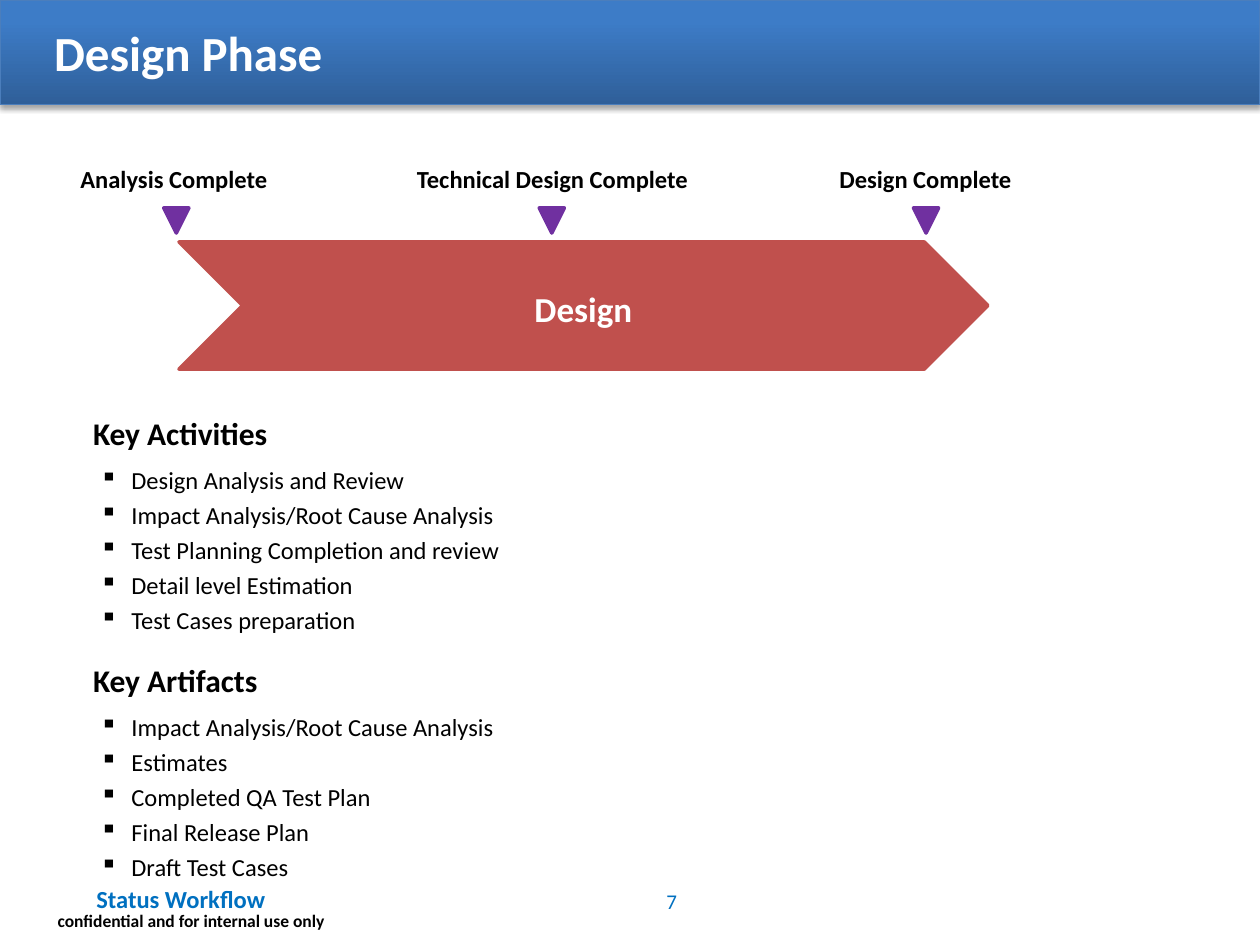
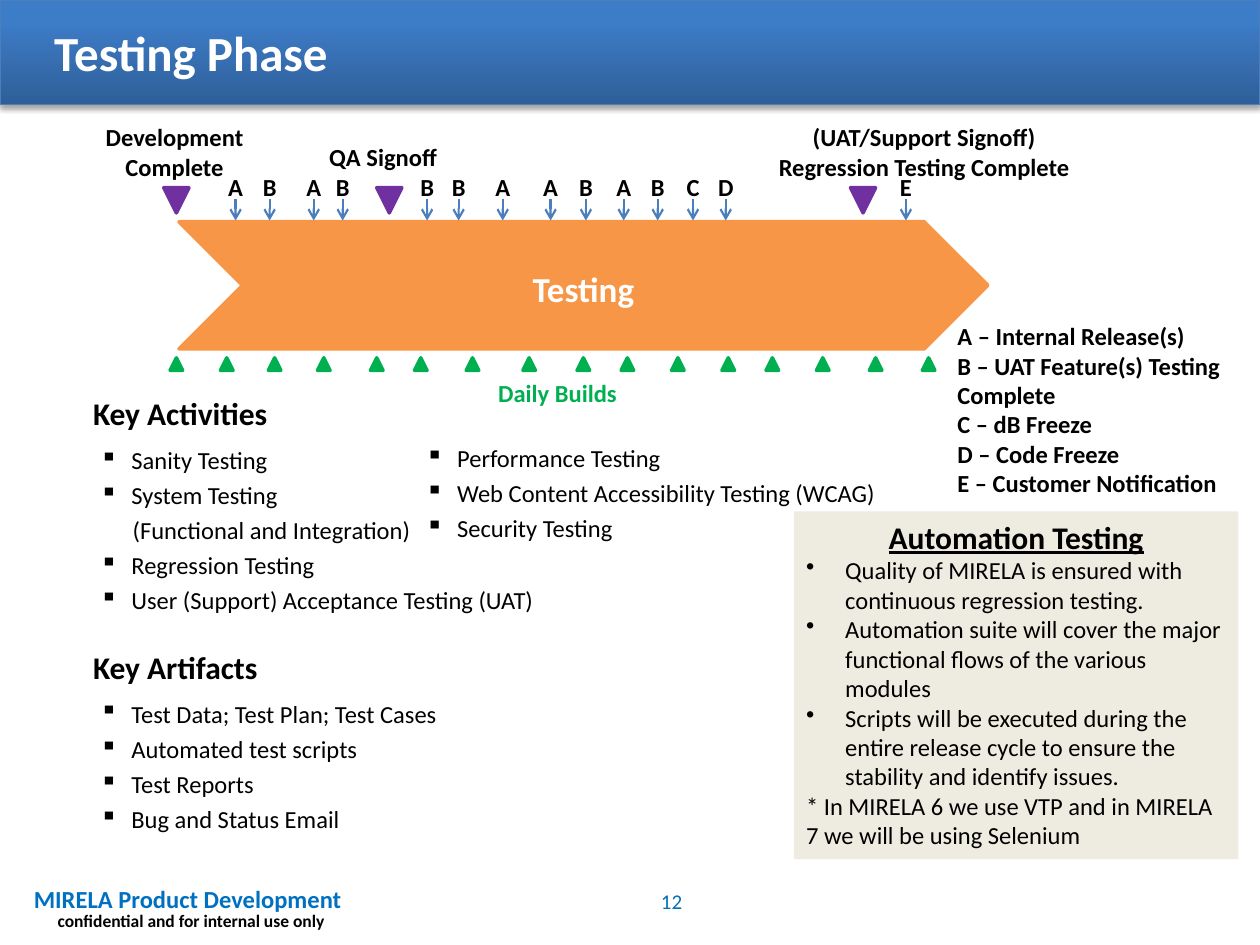
from lxml.etree import SubElement
from pptx import Presentation
from pptx.dml.color import RGBColor
from pptx.enum.shapes import MSO_CONNECTOR as Line, MSO_SHAPE as Shape
from pptx.enum.text import MSO_ANCHOR as Anchor, MSO_AUTO_SIZE as AutoSize, PP_ALIGN as Align
from pptx.oxml import parse_xml
from pptx.oxml.ns import nsdecls, qn
from pptx.util import Inches, Pt

BLACK = RGBColor(0x00, 0x00, 0x00)
WHITE = RGBColor(0xFF, 0xFF, 0xFF)
BAND_DARK = RGBColor(0x2F, 0x5F, 0x99)
BAND_LIGHT = RGBColor(0x3D, 0x7C, 0xC7)
STEEL = RGBColor(0x4B, 0x7E, 0xBC)
FOOTER_BLUE = RGBColor(0x00, 0x70, 0xC0)
PURPLE = RGBColor(0x70, 0x30, 0xA0)
GREEN = RGBColor(0x00, 0xB0, 0x50)
RED = RGBColor(0xC0, 0x50, 0x4D)
ORANGE = RGBColor(0xF7, 0x96, 0x46)
SAND = RGBColor(0xEE, 0xEC, 0xE1)
FONT = "Calibri"

deck = Presentation()
deck.slide_width, deck.slide_height = Inches(10), Inches(7.5)
COLUMN = deck.slide_width / 100
ROW = deck.slide_height / 75


def cells(left, top, width, height):
    return [round(n * size) for n, size in zip((left, top, width, height), (COLUMN, ROW) * 2)]


def write(frame, lines, size=14, color=BLACK, bold=False, align=Align.LEFT,
          bullet=None, indent=0.25, leading=None, underline=False):
    frame.word_wrap = True
    for line in lines:
        para = frame.paragraphs[0]
        if para.runs:
            para = frame.add_paragraph()
        para.alignment = align
        if leading:
            para.line_spacing = Pt(leading)
        if bullet:
            props = para._p.get_or_add_pPr()
            props.set("marL", str(Inches(indent)))
            props.set("indent", str(-Inches(indent)))
            SubElement(props, qn("a:buChar")).set("char", bullet)
        span = para.add_run()
        span.text = line
        font = span.font
        font.name, font.size, font.bold, font.underline = FONT, Pt(size), bold, underline
        font.color.rgb = color


phases = [
    {
        "title": "Design Phase", "number": "7", "name": "Design", "color": RED,
        "footer": ("Status Workflow", 25.3, Align.CENTER),
        "arrow_top": 19.2, "marker_top": 16.5,
        "milestones": [
            (13, "Analysis Complete", 2.7, 12.5, 22.2),
            (42.8, "Technical Design Complete", 30.1, 12.5, 27.5),
            (72.5, "Design Complete", 61.8, 12.5, 23.3),
        ],
        "sections": [
            ("Key Activities", 32.4, [
                "Design Analysis and Review",
                "Impact Analysis/Root Cause Analysis",
                "Test Planning Completion and review",
                "Detail level Estimation",
                "Test Cases preparation",
            ]),
            ("Key Artifacts", 52, [
                "Impact Analysis/Root Cause Analysis",
                "Estimates",
                "Completed QA Test Plan",
                "Final Release Plan",
                "Draft Test Cases",
            ]),
        ],
    },
    {
        "title": "Testing Phase", "number": "12", "name": "Testing", "color": ORANGE,
        "footer": ("MIRELA Product Development", 31.7, Align.LEFT),
        "arrow_top": 17.6, "marker_top": 14.9,
        "milestones": [
            (13, "Development Complete", 6.9, 9.2, 13.9),
            (29.9, "QA Signoff", 25, 10.8, 10.8),
            (67.5, "(UAT/Support Signoff) Regression Testing Complete", 60, 9.2, 26.7),
        ],
        "sections": [
            ("Key Activities", 30.8, [
                "Sanity Testing",
                "System Testing",
                "(Functional and Integration)",
                "Regression Testing",
                "User (Support) Acceptance Testing (UAT)",
            ]),
            ("Key Artifacts", 50.9, [
                "Test Data; Test Plan; Test Cases",
                "Automated test scripts",
                "Test Reports",
                "Bug and Status Email",
            ]),
        ],
    },
]

for phase in phases:
    page = deck.slides.add_slide(deck.slide_layouts[5])
    shapes = page.shapes

    band = shapes.add_shape(Shape.RECTANGLE, *cells(0, 0, 100, 8.3))
    band.fill.gradient()
    band.fill.gradient_angle = 90
    for stop, color, position in zip(band.fill.gradient_stops, (BAND_DARK, BAND_LIGHT), (0, 0.8)):
        stop.color.rgb, stop.position = color, position
    band.line.color.rgb, band.line.width = STEEL, Pt(0.75)
    band._element.spPr.append(parse_xml(
        f'<a:effectLst {nsdecls("a")}><a:outerShdw blurRad="39370" dist="22860" dir="5400000" '
        'rotWithShape="0"><a:srgbClr val="000000"><a:alpha val="35000"/></a:srgbClr>'
        '</a:outerShdw></a:effectLst>'))
    title = shapes.title
    title._element.addprevious(band._element)
    title.left, title.top, title.width, title.height = cells(3.3, 0, 91.7, 8.3)
    title.text_frame.auto_size = AutoSize.NONE
    title.text_frame.vertical_anchor = Anchor.MIDDLE
    write(title.text_frame, [phase["title"]], 28, WHITE, True)

    label, width, align = phase["footer"]
    footer = shapes.add_textbox(*cells(1.7, 69.3, width, 4)).text_frame
    footer.vertical_anchor = Anchor.MIDDLE
    write(footer, [label], 14, FOOTER_BLUE, True, align)
    number = shapes.add_textbox(*cells(50.4, 69.5, 5.8, 4)).text_frame
    number.vertical_anchor = Anchor.MIDDLE
    write(number, [phase["number"]], 12, FOOTER_BLUE, align=Align.CENTER)
    notice = shapes.add_textbox(*cells(2.4, 71.7, 25.5, 2.7)).text_frame
    write(notice, ["confidential and for internal use only"], 10, bold=True, align=Align.CENTER)

    chevron = shapes.add_shape(Shape.CHEVRON, *cells(14.2, phase["arrow_top"], 64.2, 10.1))
    chevron.shadow.inherit = False
    chevron.fill.solid()
    chevron.fill.fore_color.rgb = chevron.line.color.rgb = phase["color"]
    chevron.line.width = Pt(2)
    chevron.text_frame.margin_top = Inches(0.1)
    chevron.text_frame.vertical_anchor = Anchor.MIDDLE
    write(chevron.text_frame, [phase["name"]], 20, WHITE, True, Align.CENTER)

    for marker_left, label, left, top, width in phase["milestones"]:
        marker = shapes.add_shape(Shape.FLOWCHART_MERGE,
                                  *cells(marker_left, phase["marker_top"], 2, 2))
        marker.shadow.inherit = False
        marker.fill.solid()
        marker.fill.fore_color.rgb = marker.line.color.rgb = PURPLE
        marker.line.width = Pt(2)
        box = shapes.add_textbox(*cells(left, top, width, 3.4))
        write(box.text_frame, [label], bold=True, align=Align.CENTER)

    for heading, top, items in phase["sections"]:
        box = shapes.add_textbox(*cells(6.4, top, 50, 4.2))
        write(box.text_frame, [heading], 18, bold=True)
        frame = shapes.add_textbox(*cells(6.95, top + 3.6, 50, 2.8 * len(items) + 1)).text_frame
        for item in items:
            write(frame, [item], bullet=None if item.startswith("(") else "▪", leading=20)
            if item.startswith("("):
                frame.paragraphs[-1]._p.get_or_add_pPr().set("marL", str(Inches(0.26)))

more_activities = shapes.add_textbox(*cells(32.8, 34.2, 39.7, 9.4)).text_frame
write(more_activities, [
    "Performance Testing",
    "Web Content Accessibility Testing (WCAG)",
    "Security Testing",
], bullet="▪", leading=20)

releases = {
    "A": [18.7, 24.9, 39.9, 43.7, 49.5],
    "B": [21.4, 27.2, 33.9, 36.4, 46.5, 52.2],
    "C": [55],
    "D": [57.6],
    "E": [71.9],
}
for letter, centers in releases.items():
    for center in centers:
        tag = shapes.add_textbox(*cells(center - 1.4, 13.2, 2.8, 3.4)).text_frame
        tag.margin_left = tag.margin_right = 0
        write(tag, [letter], bold=True, align=Align.CENTER)
        arrow = shapes.add_connector(Line.STRAIGHT, *cells(center, 15.8, center, 17.5))
        arrow.line.color.rgb, arrow.line.width = STEEL, Pt(1.25)
        outline = arrow._element.spPr
        SubElement(outline.find(qn("a:ln")), qn("a:tailEnd")).set("type", "arrow")
        SubElement(outline, qn("a:effectLst"))

build_lefts = [13.5, 17.5, 21.3, 25.2, 29.4, 32.9, 37, 41.5,
               45.8, 49.3, 53.3, 57.3, 60.8, 64.8, 69, 73.2]
for left in build_lefts:
    build = shapes.add_shape(Shape.ISOSCELES_TRIANGLE, *cells(left, 28.4, 1, 1))
    build.shadow.inherit = False
    build.fill.solid()
    build.fill.fore_color.rgb = build.line.color.rgb = GREEN
    build.line.width = Pt(2)
builds_label = shapes.add_textbox(*cells(15, 29.5, 58.5, 3.4))
write(builds_label.text_frame, ["Daily Builds"], color=GREEN, bold=True, align=Align.CENTER)

legend = shapes.add_textbox(*cells(75, 25, 24.2, 15.1))
write(legend.text_frame, [
    "A – Internal Release(s)",
    "B – UAT Feature(s) Testing Complete",
    "C – dB Freeze",
    "D – Code Freeze",
    "E – Customer Notification",
], bold=True)

automation = shapes.add_shape(Shape.RECTANGLE, *cells(63, 40.6, 35.3, 27.6))
automation.shadow.inherit = False
automation.fill.solid()
automation.fill.fore_color.rgb = SAND
automation.line.fill.background()
frame = automation.text_frame
frame.vertical_anchor = Anchor.TOP
write(frame, ["Automation Testing"], 18, bold=True, align=Align.CENTER, underline=True)
write(frame, [
    "Quality of MIRELA is ensured with continuous regression testing.",
    "Automation suite will cover the major functional flows of the various modules",
    "Scripts will be executed during the entire release cycle to ensure the stability "
    "and identify issues.",
], bullet="•", indent=0.31)
write(frame, ["* In MIRELA 6 we use VTP and in MIRELA 7 we will be using Selenium"])

deck.save("out.pptx")
